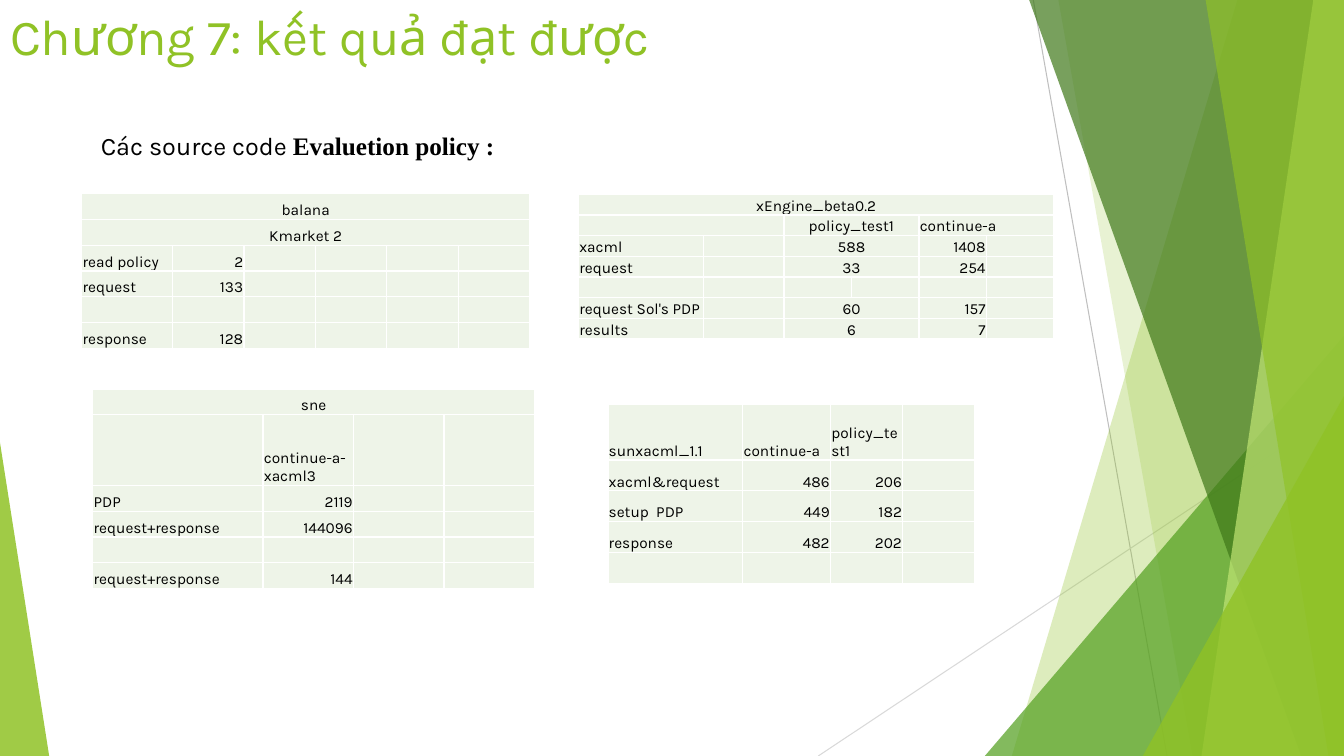
"""Build the results slide with four tables of policy evaluation measurements."""
import lxml.etree
import pptx
import pptx.dml.color
import pptx.enum.shapes
import pptx.enum.text
import pptx.oxml.ns
import pptx.util

Cm = pptx.util.Cm
Pt = pptx.util.Pt
qn = pptx.oxml.ns.qn
ALIGN = pptx.enum.text.PP_ALIGN
WIDTH, HEIGHT = 33.87, 19.05
GREEN, BLACK, WHITE, CELL = "90C226", "000000", "FFFFFF", "EEF4E8"
FONT = "Karla"

LINES = [
    (26.04, 0, 29.41, HEIGHT, "BFBFBF"),
    (WIDTH, 10.24, 20.62, HEIGHT, "D9D9D9"),
]
BACK_RIBBONS = [(31.19, 25.5, GREEN, 30), (26.67, 30.05, GREEN, 20)]
FRONT_RIBBONS = [
    (25.93, 32.79, "3F7819", 70),
    (33.1, 30.28, "C0E474", 70),
    (30.38, 33.48, GREEN, 65),
]

TABLES = [
    {
        "at": (2.06, 4.88),
        "columns": [2.29] + [1.8] * 5,
        "rows": [0.65] * 6,
        "cells": [
            ["balana"], ["Kmarket 2"], ["read policy", "2"],
            ["request", "133"], [], ["response", "128"],
        ],
        "merges": [(0, 0, 5, ALIGN.CENTER), (1, 0, 5, ALIGN.CENTER)],
    },
    {
        "at": (14.58, 4.9),
        "columns": [3.15, 2.03] + [1.7] * 4,
        "rows": [0.52] * 7,
        "cells": [
            ["xEngine_beta0.2"],
            ["", "", "policy_test1", "", "continue-a"],
            ["xacml", "", "588", "", "1408"],
            ["request", "", "33", "", "254"],
            [],
            ["request Sol's PDP", "", "60", "", "157"],
            ["results", "", "6", "", "7"],
        ],
        "merges": [(0, 0, 5, ALIGN.CENTER), (1, 0, 1, ALIGN.LEFT), (1, 4, 5, ALIGN.LEFT)]
        + [(row, 2, 3, ALIGN.CENTER) for row in (1, 2, 3, 5, 6)],
    },
    {
        "at": (2.34, 9.8),
        "columns": [4.29] + [2.28] * 3,
        "rows": [0.65, 1.78] + [0.65] * 4,
        "cells": [
            ["sne"], ["", "continue-a-xacml3"], ["PDP", "2119"],
            ["request+response", "144096"], [], ["request+response", "144"],
        ],
        "merges": [(0, 0, 3, ALIGN.CENTER)],
    },
    {
        "at": (15.32, 10.19),
        "columns": [3.4, 2.21, 1.82, 1.82],
        "rows": [1.4] + [0.78] * 4,
        "cells": [
            ["sunxacml_1.1", "continue-a", "policy_test1"],
            ["xacml&request", "486", "206"],
            ["setup  PDP", "449", "182"],
            ["response", "482", "202"],
            [],
        ],
        "merges": [],
    },
]


def colour(value):
    """Turn a hex string into a colour."""
    return pptx.dml.color.RGBColor.from_string(value)


def format_run(run, size, value, font=FONT, bold=False):
    """Set the font of one run."""
    run.font.size = Pt(size)
    run.font.name = font
    run.font.bold = bold
    run.font.color.rgb = colour(value)


def paint(shape, value, opacity):
    """Fill a decoration with a translucent colour and no outline."""
    shape.shadow.inherit = False
    shape.line.fill.background()
    shape.fill.solid()
    shape.fill.fore_color.rgb = colour(value)
    fill_colour = shape._element.spPr.find(qn("a:solidFill"))[0]
    lxml.etree.SubElement(fill_colour, qn("a:alpha"), val=str(opacity * 1000))


def add_line(slide, left, top, right, bottom, value):
    """Draw a thin straight line."""
    line = slide.shapes.add_connector(
        pptx.enum.shapes.MSO_CONNECTOR.STRAIGHT, Cm(left), Cm(top), Cm(right), Cm(bottom))
    line.line.color.rgb = colour(value)
    line.line.width = Pt(0.75)
    lxml.etree.SubElement(line._element.spPr, qn("a:effectLst"))


def add_ribbon(slide, top_left, bottom_left, value, opacity):
    """Draw a band from a slanted left edge to the right edge of the slide."""
    builder = slide.shapes.build_freeform(Cm(top_left), Cm(-0.02))
    corners = [(WIDTH, -0.02), (WIDTH, HEIGHT), (bottom_left, HEIGHT)]
    builder.add_line_segments([(Cm(x), Cm(y)) for x, y in corners], close=True)
    paint(builder.convert_to_shape(), value, opacity)


def add_triangle(slide, left, top, width, apex, value, opacity):
    """Draw a triangle that stands on the bottom edge of the slide."""
    shape = slide.shapes.add_shape(
        pptx.enum.shapes.MSO_SHAPE.ISOSCELES_TRIANGLE,
        Cm(left), Cm(top), Cm(width), Cm(HEIGHT - top))
    shape.adjustments[0] = apex
    paint(shape, value, opacity)


def add_title(slide, text):
    """Move and format the title placeholder."""
    title = slide.shapes.title
    title.left, title.top, title.width, title.height = Cm(0), Cm(0), Cm(23.88), Cm(3.66)
    title.text_frame.text = text
    title.text_frame.vertical_anchor = pptx.enum.text.MSO_ANCHOR.TOP
    paragraph = title.text_frame.paragraphs[0]
    paragraph.alignment = ALIGN.LEFT
    format_run(paragraph.runs[0], 36, GREEN)


def add_caption(slide, plain, strong):
    """Add the line above the tables, ending in bold words."""
    frame = slide.shapes.add_textbox(Cm(2.29), Cm(3.15), Cm(10.49), Cm(1.8)).text_frame
    frame.word_wrap = False
    frame.auto_size = pptx.enum.text.MSO_AUTO_SIZE.SHAPE_TO_FIT_TEXT
    frame.text = plain
    paragraph = frame.paragraphs[0]
    format_run(paragraph.runs[0], 18, BLACK)
    run = paragraph.add_run()
    run.text = strong
    format_run(run, 18, BLACK, "Times New Roman", True)


def format_cell(cell, text):
    """Write a cell, with numbers to the right, and set its fill and borders."""
    cell.text_frame.text = text
    cell.vertical_anchor = pptx.enum.text.MSO_ANCHOR.BOTTOM
    cell.margin_left = cell.margin_right = cell.margin_top = Cm(0.02)
    cell.margin_bottom = Cm(0)
    paragraph = cell.text_frame.paragraphs[0]
    paragraph.alignment = ALIGN.RIGHT if text.isdigit() else ALIGN.LEFT
    for run in paragraph.runs:
        format_run(run, 11, BLACK)
    if not text:
        lxml.etree.SubElement(paragraph._p, qn("a:endParaRPr"), sz="1100")
    cell.fill.solid()
    cell.fill.fore_color.rgb = colour(CELL)
    properties = cell._tc.get_or_add_tcPr()
    for position, side in enumerate(("a:lnL", "a:lnR", "a:lnT", "a:lnB")):
        border = lxml.etree.Element(qn(side), w=str(Pt(1)))
        fill = lxml.etree.SubElement(border, qn("a:solidFill"))
        lxml.etree.SubElement(fill, qn("a:srgbClr"), val=WHITE)
        properties.insert(position, border)


def add_results(slide, at, columns, rows, cells, merges):
    """Add a table of results with its merged cells."""
    table = slide.shapes.add_table(
        len(rows), len(columns), Cm(at[0]), Cm(at[1]), Cm(sum(columns)), Cm(sum(rows))).table
    table.first_row = table.horz_banding = False
    for column, width in zip(table.columns, columns):
        column.width = Cm(width)
    for row, height, texts in zip(table.rows, rows, cells):
        row.height = Cm(height)
        padded = texts + [""] * (len(columns) - len(texts))
        for cell, text in zip(row.cells, padded):
            format_cell(cell, text)
    for row, first, last, alignment in merges:
        cell = table.cell(row, first)
        cell.merge(table.cell(row, last))
        cell.text_frame.paragraphs[0].alignment = alignment


def main():
    """Build and save the presentation."""
    presentation = pptx.Presentation()
    presentation.slide_width, presentation.slide_height = Cm(WIDTH), Cm(HEIGHT)
    slide = presentation.slides.add_slide(presentation.slide_layouts[5])
    for line in LINES:
        add_line(slide, *line)
    for ribbon in BACK_RIBBONS:
        add_ribbon(slide, *ribbon)
    add_triangle(slide, 24.82, 8.46, 9.05, 1, "54A021", 72)
    for ribbon in FRONT_RIBBONS:
        add_ribbon(slide, *ribbon)
    add_triangle(slide, 28.8, 9.98, 5.07, 1, GREEN, 80)
    add_triangle(slide, 0, 11.15, 1.24, 0, GREEN, 85)
    add_title(slide, "Chương 7: kết quả đạt được")
    for table in TABLES:
        add_results(slide, **table)
    add_caption(slide, "Các source code ", "Evaluetion policy :")
    presentation.save("out.pptx")


if __name__ == "__main__":
    main()
